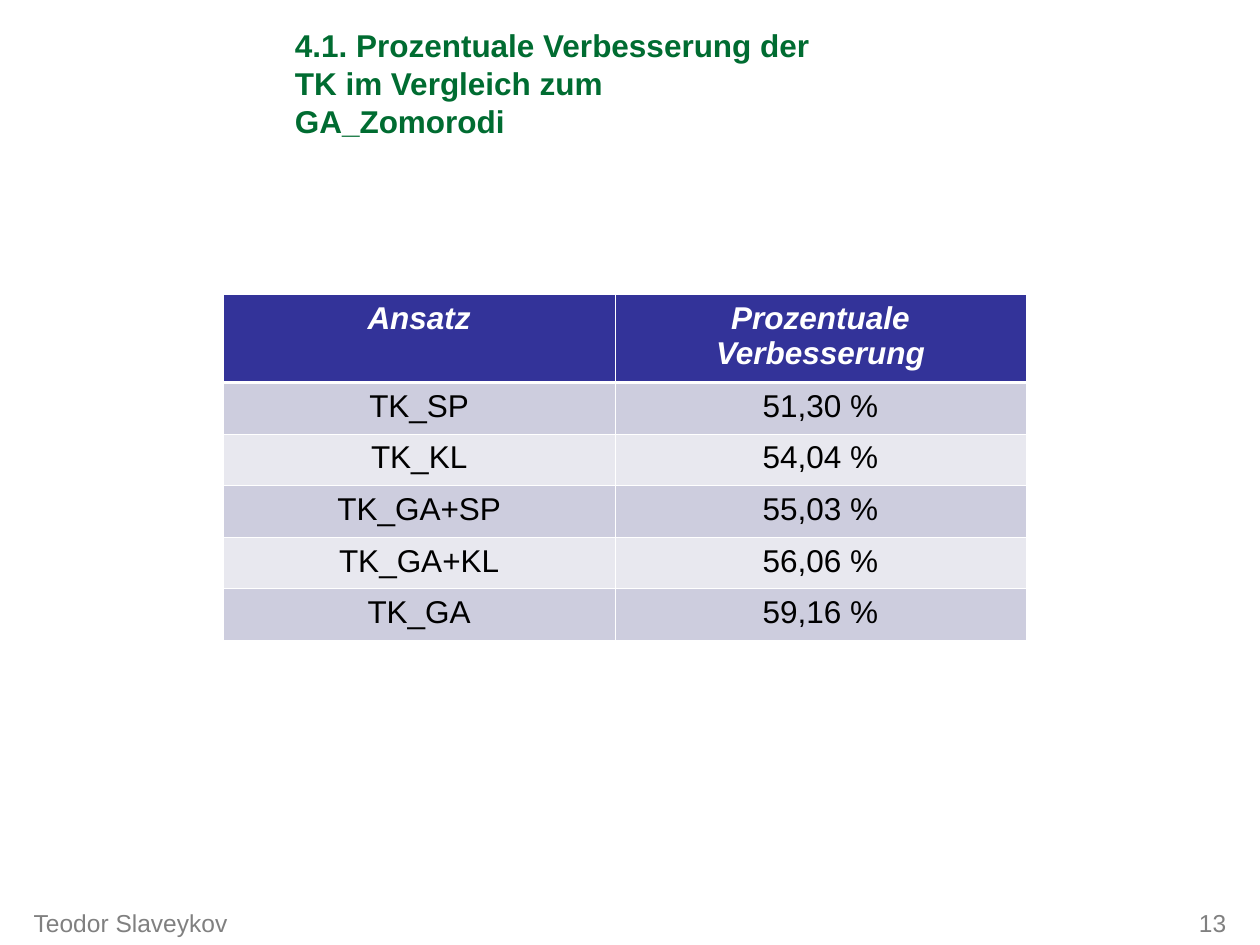
from pptx import Presentation
from pptx.dml.color import RGBColor
from pptx.enum.text import MSO_ANCHOR, MSO_AUTO_SIZE, PP_ALIGN
from pptx.oxml import parse_xml
from pptx.oxml.ns import nsdecls
from pptx.util import Cm, Pt

GREEN = RGBColor(0x00, 0x6C, 0x31)
GRAY = RGBColor(0x80, 0x80, 0x80)
WHITE = RGBColor(0xFF, 0xFF, 0xFF)
BLACK = RGBColor(0x00, 0x00, 0x00)
NAVY = RGBColor(0x33, 0x33, 0x99)
LILAC = RGBColor(0xCD, 0xCD, 0xDE)
PALE = RGBColor(0xE8, 0xE8, 0xEF)


def format_text(p, size, color, align, bold=False, italic=False):
    p.alignment = align
    for r in p.runs:
        r.font.name = "Arial"
        r.font.size = Pt(size)
        r.font.color.rgb = color
        r.font.bold = bold
        r.font.italic = italic


def add_border(cell, side, width):
    cell._tc.get_or_add_tcPr().append(parse_xml(
        f'<a:ln{side} {nsdecls("a")} w="{Pt(width)}"><a:solidFill>'
        f'<a:srgbClr val="{WHITE}"/></a:solidFill></a:ln{side}>'))


prs = Presentation()
prs.slide_width = Cm(25.4)
prs.slide_height = Cm(19.05)
s = prs.slides.add_slide(prs.slide_layouts[5])

footers = [
    ("Teodor Slaveykov", 0.43, 8.1, PP_ALIGN.LEFT),
    ("13", 16.71, 8.26, PP_ALIGN.RIGHT),
]
for text, left, width, align in footers:
    sp = s.shapes.add_textbox(Cm(left), Cm(18.19), Cm(width), Cm(0.86))
    tf = sp.text_frame
    tf.word_wrap = True
    tf.text = text
    format_text(tf.paragraphs[0], 14, GRAY, align)

title = s.shapes.title
title.left, title.top = Cm(5.69), Cm(0.58)
title.width, title.height = Cm(11), Cm(2.36)
tf = title.text_frame
tf.text = "4.1. Prozentuale Verbesserung der TK im Vergleich zum GA_Zomorodi"
tf.word_wrap = True
tf.auto_size = MSO_AUTO_SIZE.NONE
tf.vertical_anchor = MSO_ANCHOR.BOTTOM
format_text(tf.paragraphs[0], 18, GREEN, PP_ALIGN.LEFT, bold=True)

rows = [
    ("Ansatz", "Prozentuale Verbesserung"),
    ("TK_SP", "51,30 %"),
    ("TK_KL", "54,04 %"),
    ("TK_GA+SP", "55,03 %"),
    ("TK_GA+KL", "56,06 %"),
    ("TK_GA", "59,16 %"),
]
table = s.shapes.add_table(len(rows), 2, Cm(4.5), Cm(5.93), Cm(16.18), Cm(7)).table
table.columns[0].width = Cm(7.9)
table.columns[1].width = Cm(8.28)
for i, row in enumerate(rows):
    header = i == 0
    table.rows[i].height = Cm(1.77 if header else 1.04)
    for j, text in enumerate(row):
        cell = table.cell(i, j)
        cell.text = text
        format_text(cell.text_frame.paragraphs[0], 18, WHITE if header else BLACK,
                    PP_ALIGN.CENTER, bold=header, italic=header)
        for side in "LRTB":
            thick = (i, side) in ((0, "B"), (1, "T"))
            add_border(cell, side, 1.47 if thick else 0.45)
        cell.fill.solid()
        cell.fill.fore_color.rgb = NAVY if header else LILAC if i % 2 else PALE

prs.save("out.pptx")
